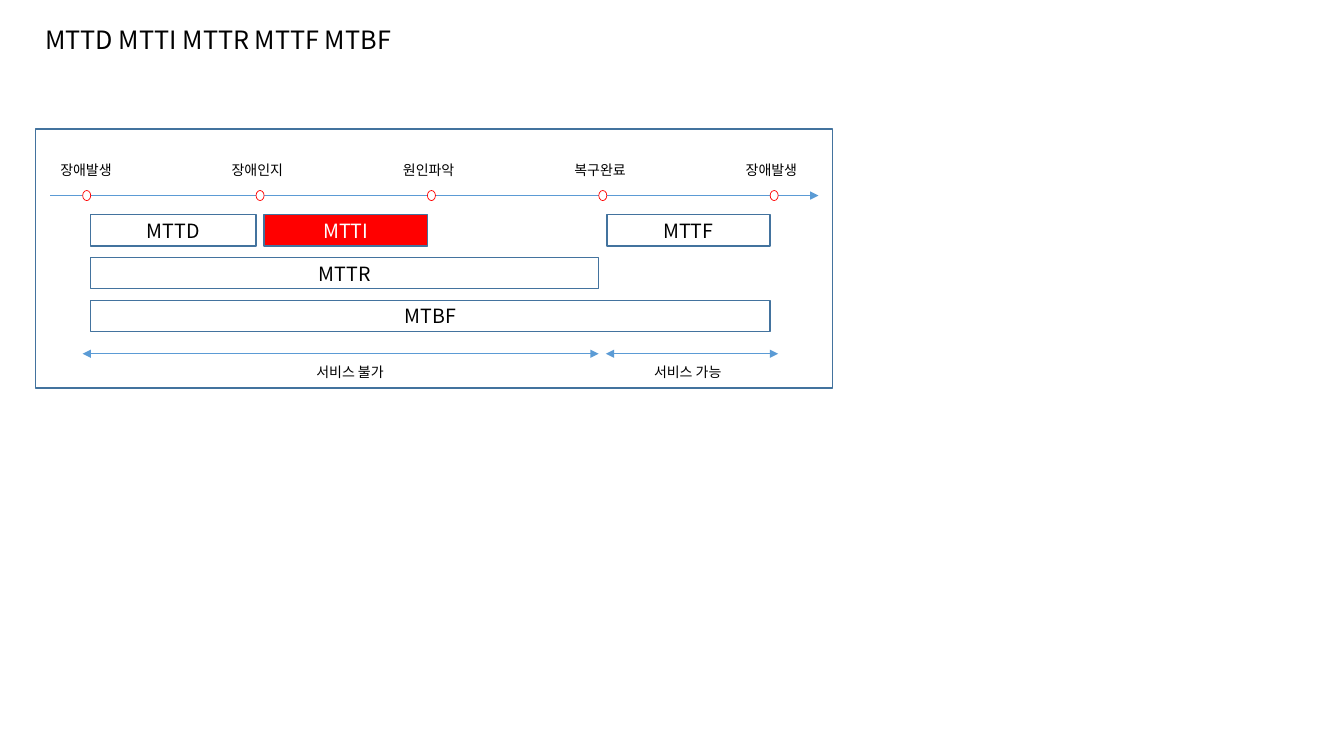
"""Build a slide that sets failure metrics against an incident timeline."""
import pptx
import pptx.util
import pptx.dml.color
import pptx.enum.shapes
import pptx.enum.text
import pptx.oxml
import pptx.oxml.ns

Pt = pptx.util.Pt
SHAPES = pptx.enum.shapes.MSO_SHAPE
ALIGN = pptx.enum.text.PP_ALIGN
ANCHOR = pptx.enum.text.MSO_ANCHOR
FIT = pptx.enum.text.MSO_AUTO_SIZE

TITLE = "MTTD MTTI MTTR MTTF MTBF"
FONT = "Noto Sans CJK KR"
BLACK, WHITE, RED, BORDER, ARROW = "000000", "FFFFFF", "FF0000", "43739E", "5B9BD5"

EVENTS = [("장애발생", 61.92), ("장애인지", 185.76), ("원인파악", 308.16),
          ("복구완료", 430.56), ("장애발생", 552.96)]
METRICS = [("MTTD", 0, 1, 0, WHITE, BLACK), ("MTTI", 1, 2, 0, RED, WHITE),
           ("MTTR", 0, 3, 1, WHITE, BLACK), ("MTTF", 3, 4, 0, WHITE, BLACK),
           ("MTBF", 0, 4, 2, WHITE, BLACK)]
SERVICE = [("서비스 불가", 59.04, 427.68, 253.1), ("서비스 가능", 432.72, 555.84, 494.3)]

FRAME = (25.2, 92.2, 569.5, 185)
TIMELINE = (36, 584.6, 139.7)
MARKER_WIDTH, MARKER_HEIGHT = 5.76, 7.2
BAR_TOP, BAR_HEIGHT, BAR_PITCH = 153.4, 22.3, 30.6
LABEL_LEFT, LABEL_TOP, LABEL_PITCH = 36, 111.6, 122.4
LABEL_WIDTH, SERVICE_WIDTH, LABEL_HEIGHT = 54.7, 68.4, 19.4
SERVICE_Y, SERVICE_LABEL_TOP = 252.7, 256.3


def color(code):
    return pptx.dml.color.RGBColor.from_string(code)


def apply(target, values):
    for name, value in values.items():
        setattr(target, name, value)


def write(box, text, size, ink, align, frame_format):
    apply(box.text_frame, frame_format)
    paragraph = box.text_frame.paragraphs[0]
    paragraph.alignment = align
    run = paragraph.add_run()
    run.text = text
    apply(run.font, {"name": FONT, "size": Pt(size)})
    run.font.color.rgb = color(ink)
    east_asian = pptx.oxml.parse_xml(
        f'<a:ea {pptx.oxml.ns.nsdecls("a")} typeface="{FONT}"/>')
    run.font._element.find(pptx.oxml.ns.qn("a:latin")).addnext(east_asian)


def add_label(slide, text, left, top, width):
    label = slide.shapes.add_textbox(Pt(left), Pt(top), Pt(width), Pt(LABEL_HEIGHT))
    write(label, text, 10, BLACK, ALIGN.LEFT, LABEL_FORMAT)


def add_figure(slide, kind, place, fill, border, weight):
    figure = slide.shapes.add_shape(kind, *map(Pt, place))
    figure.shadow.inherit = False
    figure.fill.solid()
    figure.fill.fore_color.rgb = color(fill)
    figure.line.color.rgb = color(border)
    figure.line.width = Pt(weight)
    return figure


def add_arrow(slide, start, end, y, heads):
    arrow = slide.shapes.add_connector(
        pptx.enum.shapes.MSO_CONNECTOR.STRAIGHT, Pt(start), Pt(y), Pt(end), Pt(y))
    arrow.line.color.rgb = color(ARROW)
    arrow.line.width = Pt(0.5)
    namespace = pptx.oxml.ns.nsdecls("a")
    for head in heads:
        arrow.line._get_or_add_ln().append(
            pptx.oxml.parse_xml(f'<a:{head} {namespace} type="triangle"/>'))
    arrow._element.spPr.append(pptx.oxml.parse_xml(f"<a:effectLst {namespace}/>"))


LABEL_FORMAT = {"word_wrap": False, "auto_size": FIT.SHAPE_TO_FIT_TEXT,
                "vertical_anchor": ANCHOR.TOP}
BAR_FORMAT = {"word_wrap": True, "vertical_anchor": ANCHOR.MIDDLE}


def main():
    deck = pptx.Presentation()
    apply(deck, {"slide_width": Pt(960), "slide_height": Pt(540)})
    slide = deck.slides.add_slide(deck.slide_layouts[5])

    title = slide.shapes.title
    apply(title, {"left": Pt(25.2), "top": Pt(13.7), "width": Pt(270.7), "height": Pt(28.8)})
    write(title, TITLE, 18, BLACK, ALIGN.LEFT, LABEL_FORMAT)

    add_figure(slide, SHAPES.RECTANGLE, FRAME, WHITE, BORDER, 1)
    timeline_start, timeline_end, timeline_y = TIMELINE
    add_arrow(slide, timeline_start, timeline_end, timeline_y, ["tailEnd"])

    for index, (event, center) in enumerate(EVENTS):
        add_label(slide, event, LABEL_LEFT + index * LABEL_PITCH, LABEL_TOP, LABEL_WIDTH)
        marker = (center - MARKER_WIDTH / 2, timeline_y - MARKER_HEIGHT / 2,
                  MARKER_WIDTH, MARKER_HEIGHT)
        add_figure(slide, SHAPES.OVAL, marker, WHITE, RED, 0.5)

    for metric, first, last, row, fill, ink in METRICS:
        left = EVENTS[first][1] + MARKER_WIDTH / 2
        right = EVENTS[last][1] - MARKER_WIDTH / 2
        place = (left, BAR_TOP + row * BAR_PITCH, right - left, BAR_HEIGHT)
        bar = add_figure(slide, SHAPES.RECTANGLE, place, fill, BORDER, 1)
        write(bar, metric, 14, ink, ALIGN.CENTER, BAR_FORMAT)

    for state, start, end, center in SERVICE:
        add_arrow(slide, start, end, SERVICE_Y, ["headEnd", "tailEnd"])
        add_label(slide, state, center - SERVICE_WIDTH / 2, SERVICE_LABEL_TOP, SERVICE_WIDTH)

    deck.save("out.pptx")


if __name__ == "__main__":
    main()
